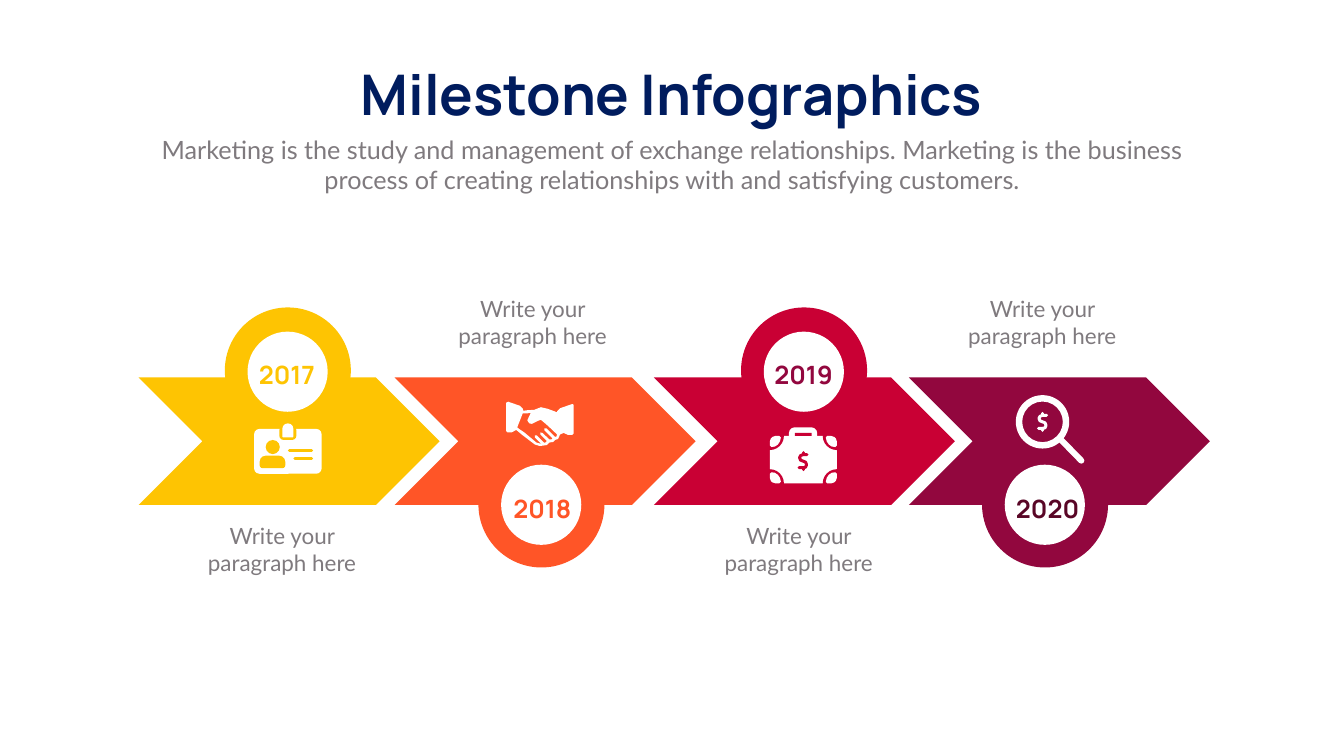
from itertools import product

from lxml import etree
from pptx import Presentation
from pptx.dml.color import RGBColor
from pptx.enum.shapes import MSO_CONNECTOR, MSO_SHAPE
from pptx.enum.text import MSO_AUTO_SIZE, PP_ALIGN
from pptx.oxml.ns import qn
from pptx.util import Emu, Pt

PX = 9144  # EMU per px, 100 px to the inch
CHEVRON, ELLIPSE, DONUT = MSO_SHAPE.CHEVRON, MSO_SHAPE.OVAL, MSO_SHAPE.DONUT
RECT, ROUNDED = MSO_SHAPE.RECTANGLE, MSO_SHAPE.ROUNDED_RECTANGLE
ROUND_TOP = MSO_SHAPE.ROUND_2_SAME_RECTANGLE
STRAIGHT = MSO_CONNECTOR.STRAIGHT
GROW, CENTER = MSO_AUTO_SIZE.SHAPE_TO_FIT_TEXT, PP_ALIGN.CENTER

COLORS = {"white": "FFFFFF", "navy": "001C5E", "grey": "7F7A7E", "yellow": "FEC402",
          "orange": "FF5527", "red": "C90034", "wine": "92073E", "dark": "590626"}

# year, band colour, year colour, then left edges of chevron, disc, year, caption
MILESTONES = [
    ("2017", "yellow", "yellow", 275, 446, 464, 396),
    ("2018", "orange", "orange", 783, 949, 971, 893),
    ("2019", "red", "wine", 1297, 1470, 1489, 1421),
    ("2020", "wine", "dark", 1803, 1948, 1973, 1904),
]
# tops of disc, hole, year and caption, alternating above and below the band
LEVELS = [(610, 658, 708, 1031), (876, 922, 974, 581)]

HANDS = [(1137, 802), (1134, 802), (1111, 810), (1105, 816), (1105, 818), (1086, 811),
         (1073, 808), (1060, 813), (1046, 814), (1038, 815), (1037, 811), (1031, 805),
         (1008, 797), (1004, 799), (1004, 855), (1007, 858), (1015, 858), (1024, 853),
         (1036, 863), (1061, 882), (1071, 885), (1085, 883), (1090, 878), (1097, 877),
         (1101, 873), (1107, 871), (1111, 862), (1118, 859), (1127, 863), (1135, 863),
         (1138, 860), (1138, 805)]
FINGERS = [(1104, 866), (1101, 867), (1084, 850), (1080, 850), (1080, 854), (1096, 870),
           (1094, 872), (1090, 872), (1076, 859), (1072, 858), (1072, 862), (1085, 875),
           (1082, 878), (1079, 878), (1065, 864), (1061, 864), (1061, 868), (1073, 880),
           (1071, 880), (1064, 878), (1040, 858), (1031, 852), (1026, 848), (1037, 820),
           (1047, 820), (1053, 819), (1046, 834), (1050, 840), (1055, 841), (1067, 835),
           (1073, 833), (1086, 844), (1105, 862)]
DOLLAR = [(8, -13), (0, -13), (-5, -11), (-7, -7), (-5, -2), (0, 0),
          (5, 2), (7, 7), (5, 12), (0, 13), (-8, 13)]
CASE_CORNER = [(3, 22), (10, 21), (16, 17), (20, 11), (22, 3), (19, 0),
               (11, 0), (5, 2), (2, 5), (0, 11), (0, 19)]


def rgb(name):
    return RGBColor.from_string(COLORS[name])


def paint(sp, color):
    sp.shadow.inherit = False
    sp.fill.solid()
    sp.fill.fore_color.rgb = rgb(color)
    sp.line.fill.background()


def add_shape(slide, kind, x, y, w, h, color, adj=()):
    sp = slide.shapes.add_shape(kind, *(Emu(v * PX) for v in (x, y, w, h)))
    paint(sp, color)
    for i, value in enumerate(adj):
        sp.adjustments[i] = value
    return sp


def add_text(slide, text, x, y, w, h, *, size, font, color, bold=False, wrap=True):
    box = slide.shapes.add_textbox(*(Emu(v * PX) for v in (x, y, w, h)))
    tf = box.text_frame
    tf.word_wrap = wrap
    tf.auto_size = GROW
    p = tf.paragraphs[0]
    p.alignment = CENTER
    r = p.add_run()
    r.text = text
    r.font.size = Pt(size)
    r.font.name = font
    r.font.bold = bold
    r.font.color.rgb = rgb(color)


def add_outline(slide, *contours, closed=True):
    builder = slide.shapes.build_freeform(*contours[0][0], scale=PX)
    for i, points in enumerate(contours):
        if i:
            builder.move_to(*points[0])
        builder.add_line_segments(points[1:], close=closed)
    return builder.convert_to_shape()


def style_stroke(sp, color, width):
    sp.line.color.rgb = rgb(color)
    sp.line.width = Emu(width * PX)
    sp._element.spPr.find(qn("a:ln")).set("cap", "rnd")


def add_stroke(slide, x1, y1, x2, y2, color, width):
    cn = slide.shapes.add_connector(STRAIGHT, *(Emu(v * PX) for v in (x1, y1, x2, y2)))
    style_stroke(cn, color, width)
    etree.SubElement(cn._element.spPr, qn("a:effectLst"))


def add_dollar(slide, cx, cy, color):
    sp = add_outline(slide, [(cx + x, cy + y) for x, y in DOLLAR], closed=False)
    sp.shadow.inherit = False
    sp.fill.background()
    style_stroke(sp, color, 6)
    for side in (-1, 1):
        add_stroke(slide, cx, cy + 13 * side, cx, cy + 17 * side, color, 6)


def add_id_card(slide):
    add_shape(slide, ROUNDED, 504, 851, 134, 89, "white", [0.12])
    add_shape(slide, ROUNDED, 554, 845, 34, 28, "yellow", [0.32])
    add_shape(slide, ROUND_TOP, 560, 840, 22, 28, "white", [0.5, 0.12])
    add_shape(slide, ELLIPSE, 527, 873, 28, 28, "yellow")
    add_shape(slide, ROUND_TOP, 515, 904, 51, 25, "yellow", [0.5, 0.25])
    add_stroke(slide, 574, 893, 618, 893, "yellow", 6)
    add_stroke(slide, 585, 909, 618, 909, "yellow", 6)


def add_handshake(slide):
    paint(add_outline(slide, HANDS, FINGERS), "white")


def add_briefcase(slide):
    add_shape(slide, ROUNDED, 1565, 848, 56, 30, "white", [0.37])
    add_shape(slide, RECT, 1527, 865, 133, 94, "white")
    add_shape(slide, RECT, 1577, 859, 33, 6, "red")
    for (x, dx), (y, dy) in product([(1527, 1), (1660, -1)], [(865, 1), (959, -1)]):
        add_shape(slide, ELLIPSE, x - 28, y - 28, 56, 56, "red")
        corner = [(x + dx * px, y + dy * py) for px, py in CASE_CORNER]
        paint(add_outline(slide, corner), "white")
    add_dollar(slide, 1593, 915, "red")


def add_magnifier(slide):
    add_shape(slide, DONUT, 2015, 784, 106, 106, "white", [0.12])
    add_stroke(slide, 2105, 873, 2145, 914, "white", 12)
    add_dollar(slide, 2068, 837, "white")


def main():
    prs = Presentation()
    prs.slide_width, prs.slide_height = Emu(2666 * PX), Emu(1500 * PX)
    slide = prs.slides.add_slide(prs.slide_layouts[6])

    # Heading
    add_text(slide, "Milestone Infographics", 661, 114, 1343, 145,
             size=80, font="Manrope", color="navy", bold=True, wrap=False)
    add_text(slide, "Marketing is the study and management of exchange relationships. "
             "Marketing is the business process of creating relationships with and "
             "satisfying customers.", 292, 261, 2082, 131,
             size=36, font="Lato", color="grey")

    # Chevron band with alternating year discs and captions
    for i, (year, band, ink, chevron_x, disc_x, year_x, caption_x) in enumerate(MILESTONES):
        disc_y, hole_y, year_y, caption_y = LEVELS[i % 2]
        add_shape(slide, CHEVRON, chevron_x, 749, 597, 253, band)
        add_shape(slide, ELLIPSE, disc_x, disc_y, 250, 250, band)
        add_shape(slide, ELLIPSE, disc_x + 45, hole_y, 159, 159, "white")
        add_text(slide, "Write your paragraph here", caption_x, caption_y, 327, 118,
                 size=32, font="Lato", color="grey")
        add_text(slide, year, year_x, year_y, 210, 71,
                 size=36, font="Manrope", color=ink, bold=True)

    # Icons
    for add_icon in (add_id_card, add_handshake, add_briefcase, add_magnifier):
        add_icon(slide)

    prs.save("out.pptx")


if __name__ == "__main__":
    main()
